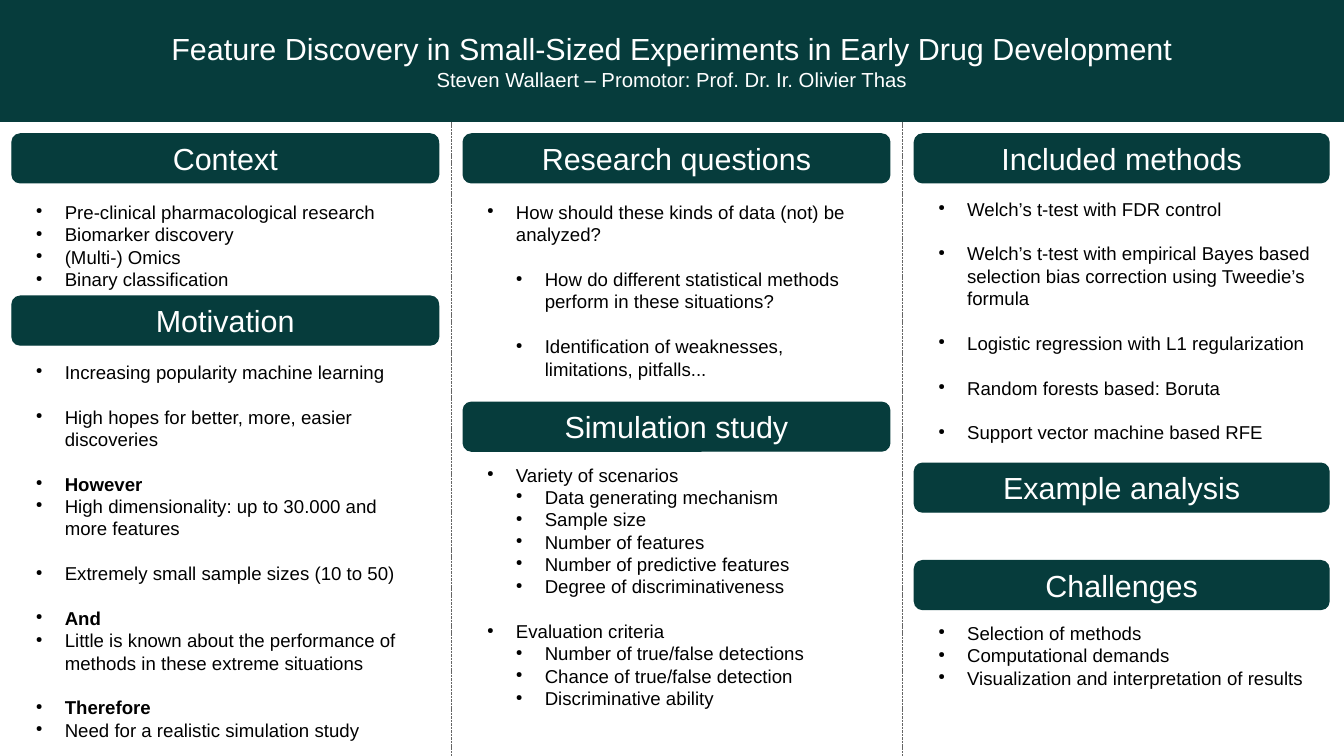
from lxml.etree import SubElement
from pptx import Presentation
from pptx.dml.color import RGBColor
from pptx.enum.dml import MSO_LINE
from pptx.enum.shapes import MSO_CONNECTOR, MSO_SHAPE
from pptx.enum.text import MSO_ANCHOR, PP_ALIGN
from pptx.oxml.ns import qn
from pptx.util import Cm, Pt

TEAL = RGBColor(0x06, 0x3C, 0x3C)
GREY = RGBColor(0x66, 0x66, 0x66)
WHITE = RGBColor(0xFF, 0xFF, 0xFF)
BLACK = RGBColor(0, 0, 0)

PAGE_WIDTH, PAGE_HEIGHT = 28, 15.75
BANNER_HEIGHT = 2.54
COLUMN_STEP = 9.4
MARGIN = 0.25
HEADING_HEIGHT = 1.02
INDENT = 0.6

# Item styles: "" plain, "gap" follows a blank line, "sub" second level, "bold"
# Each section: column, heading top, body top, body height, heading, items
SECTIONS = [
    (0, 2.79, 4.06, 1.98, "Context", [
        ("", "Pre-clinical pharmacological research"),
        ("", "Biomarker discovery"),
        ("", "(Multi-) Omics"),
        ("", "Binary classification"),
    ]),
    (0, 6.17, 7.39, 7.59, "Motivation", [
        ("", "Increasing popularity machine learning"),
        ("gap", "High hopes for better, more, easier discoveries"),
        ("gap bold", "However"),
        ("", "High dimensionality: up to 30.000 and more features"),
        ("gap", "Extremely small sample sizes (10 to 50)"),
        ("gap bold", "And"),
        ("", "Little is known about the performance of methods in these "
             "extreme situations"),
        ("gap bold", "Therefore"),
        ("", "Need for a realistic simulation study"),
    ]),
    (1, 2.79, 4.06, 3.71, "Research questions", [
        ("", "How should these kinds of data (not) be analyzed?"),
        ("gap sub", "How do different statistical methods perform in these "
                    "situations?"),
        ("gap sub", "Identification of weaknesses, limitations, pitfalls..."),
    ]),
    (1, 8.38, 9.53, 5.46, "Simulation study", [
        ("", "Variety of scenarios"),
        ("sub", "Data generating mechanism"),
        ("sub", "Sample size"),
        ("sub", "Number of features"),
        ("sub", "Number of predictive features"),
        ("sub", "Degree of discriminativeness"),
        ("gap", "Evaluation criteria"),
        ("sub", "Number of true/false detections"),
        ("sub", "Chance of true/false detection"),
        ("sub", "Discriminative ability"),
    ]),
    (2, 2.79, 3.99, 5.44, "Included methods", [
        ("", "Welch’s t-test with FDR control"),
        ("gap", "Welch’s t-test with empirical Bayes based selection bias "
                "correction using Tweedie’s formula"),
        ("gap", "Logistic regression with L1 regularization"),
        ("gap", "Random forests based: Boruta"),
        ("gap", "Support vector machine based RFE"),
    ]),
    (2, 9.65, None, None, "Example analysis", []),
    (2, 11.68, 12.83, 1.98, "Challenges", [
        ("", "Selection of methods"),
        ("", "Computational demands"),
        ("", "Visualization and interpretation of results"),
    ]),
]


class Poster:
    font_name = "Arial"
    body_size = 11
    blank_line = Pt(13.2)

    def __init__(self, page):
        self.page = page

    def add_span(self, para, text, size, color, bold=False):
        span = para.add_run()
        span.text = text
        style = {"name": self.font_name, "size": Pt(size), "bold": bold}
        for key, value in style.items():
            setattr(span.font, key, value)
        span.font.color.rgb = color

    def panel(self, kind, left, top, width, height, lines):
        """Draw a filled shape with centred (text, size) lines."""
        box = self.page.shapes.add_shape(
            kind, Cm(left), Cm(top), Cm(width), Cm(height))
        box.shadow.inherit = False
        box.fill.solid()
        box.fill.fore_color.rgb = TEAL
        box.line.color.rgb = TEAL
        box.line.width = Pt(0)
        frame = box.text_frame
        frame.word_wrap = False
        frame.vertical_anchor = MSO_ANCHOR.MIDDLE
        for index, (text, size) in enumerate(lines):
            para = frame.add_paragraph() if index else frame.paragraphs[0]
            para.alignment = PP_ALIGN.CENTER
            self.add_span(para, text, size, WHITE)

    def divider(self, x):
        line = self.page.shapes.add_connector(
            MSO_CONNECTOR.STRAIGHT, Cm(x), Cm(BANNER_HEIGHT), Cm(x), Cm(PAGE_HEIGHT))
        line.line.color.rgb = GREY
        line.line.width = Pt(0.5)
        line.line.dash_style = MSO_LINE.SQUARE_DOT
        SubElement(line._element.spPr, qn("a:effectLst"))

    def bullet(self, para, level):
        para.level = level
        props = para._p.get_or_add_pPr()
        props.set("marL", str(Cm(INDENT * (level + 1))))
        props.set("indent", str(-Cm(INDENT)))
        color = SubElement(props, qn("a:buClr"))
        SubElement(color, qn("a:srgbClr"), val=str(BLACK))
        SubElement(props, qn("a:buSzPct"), val="45000")
        SubElement(props, qn("a:buChar"), char="●")

    def bullet_list(self, left, top, width, height, items):
        box = self.page.shapes.add_textbox(Cm(left), Cm(top), Cm(width), Cm(height))
        frame = box.text_frame
        frame.word_wrap = True
        for index, (style, text) in enumerate(items):
            para = frame.add_paragraph() if index else frame.paragraphs[0]
            self.bullet(para, int("sub" in style))
            if "gap" in style:
                para.space_before = self.blank_line
            self.add_span(para, text, self.body_size, BLACK, "bold" in style)


def main():
    deck = Presentation()
    deck.slide_width, deck.slide_height = Cm(PAGE_WIDTH), Cm(PAGE_HEIGHT)
    poster = Poster(deck.slides.add_slide(deck.slide_layouts[6]))

    poster.panel(MSO_SHAPE.RECTANGLE, 0, 0, PAGE_WIDTH, BANNER_HEIGHT, [
        ("Feature Discovery in Small-Sized Experiments in Early Drug Development", 18),
        ("Steven Wallaert – Promotor: Prof. Dr. Ir. Olivier Thas", 12),
    ])
    for column in (1, 2):
        poster.divider(column * COLUMN_STEP)

    for column, heading_top, body_top, body_height, heading, items in SECTIONS:
        left = column * COLUMN_STEP + MARGIN
        width = 8.64 if column == 2 else 8.89
        poster.panel(MSO_SHAPE.ROUNDED_RECTANGLE, left, heading_top, width,
                     HEADING_HEIGHT, [(heading, 18)])
        if items:
            poster.bullet_list(left + MARGIN, body_top, 8.38, body_height, items)

    deck.save("out.pptx")


if __name__ == "__main__":
    main()
